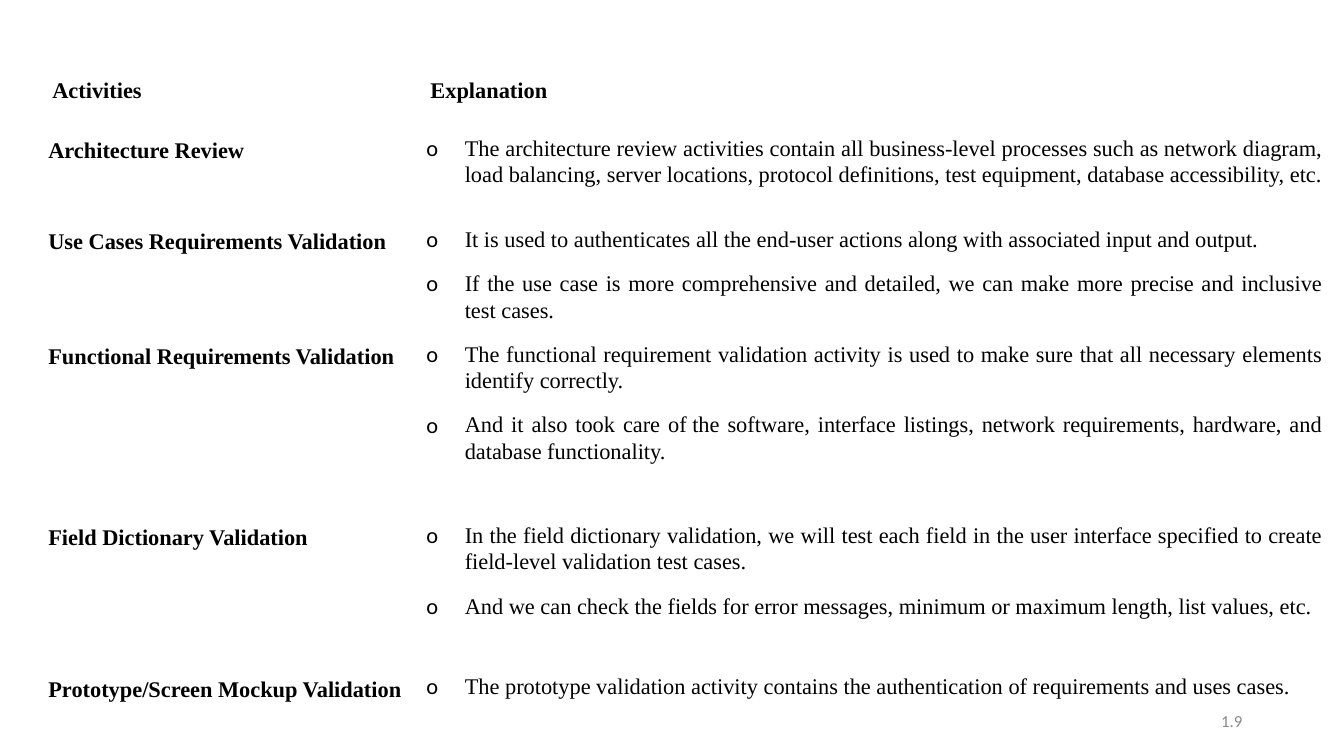
from lxml import etree
from pptx import Presentation
from pptx.dml.color import RGBColor
from pptx.enum.text import MSO_ANCHOR, PP_ALIGN
from pptx.oxml.ns import qn
from pptx.util import Inches, Pt

WHITE = RGBColor(0xFF, 0xFF, 0xFF)
BLACK = RGBColor(0, 0, 0)
GREY = RGBColor(0x88, 0x88, 0x88)
JUST, RIGHT = PP_ALIGN.JUSTIFY, PP_ALIGN.RIGHT
MIDDLE = MSO_ANCHOR.MIDDLE
SERIF, SANS = "Times New Roman", "Calibri"

COLS = [3.75, 9.05]
HEADS = ["Activities", "Explanation"]
HEAD_H = 0.64
ROWS = [
    (0.9, "Architecture Review", [
        "The architecture review activities contain all business-level processes such as\u00a0network diagram, "
        "load balancing, server locations, protocol definitions, test equipment, database accessibility, etc."]),
    (1.14, "Use Cases Requirements Validation", [
        "It is used to authenticates all the end-user actions along with associated input and output.",
        "If the use case is more comprehensive and detailed, we can make more precise and inclusive test cases."]),
    (1.8, "Functional Requirements Validation", [
        "The functional requirement validation activity is used to make sure that all necessary elements "
        "identify correctly.",
        "And it also took care of\u00a0the software, interface listings, network requirements, hardware, "
        "and database functionality."]),
    (1.5, "Field Dictionary Validation", [
        "In the field dictionary validation, we will test each field in the user interface specified to create "
        "field-level validation test cases.",
        "And we can check the fields for\u00a0error messages, minimum or maximum length, list values, etc."]),
    (0.55, "Prototype/Screen Mockup Validation", [
        "The prototype validation activity contains the authentication of requirements and uses cases."]),
]


def style(para, text, color=BLACK, **font):
    run = para.add_run()
    run.text = text
    run.font.color.rgb = color
    for name, value in font.items():
        setattr(run.font, name, value)


def add(parent, tag, **attrs):
    return etree.SubElement(parent, qn(tag), attrs)


def bullet(para):
    """Hang the paragraph on a round letter bullet with a tab stop."""
    props = para._p.get_or_add_pPr()
    props.set("marL", str(Inches(0.38)))
    props.set("indent", str(Inches(-0.38)))
    add(add(props, "a:buClr"), "a:srgbClr", val=str(BLACK))
    add(props, "a:buFont", typeface=SANS)
    add(props, "a:buChar", char="o")
    add(add(props, "a:tabLst"), "a:tab", pos=str(Inches(0.5)), algn="l")


def dress(cell, pad, base):
    """Set the cell's padding, white fill and white borders."""
    for side in ("left", "top", "right", "bottom"):
        setattr(cell, "margin_" + side, Inches(pad))
    props = cell._tc.get_or_add_tcPr()
    for side, width in (("L", 1), ("R", 1), ("T", 1), ("B", base)):
        line = add(props, "a:ln" + side, w=str(Pt(width)))
        add(add(line, "a:solidFill"), "a:srgbClr", val=str(WHITE))
    cell.fill.solid()
    cell.fill.fore_color.rgb = WHITE


def label(cell, text, align=None):
    para = cell.text_frame.paragraphs[0]
    para.line_spacing = 1.15
    para.alignment = align
    style(para, text, name=SERIF, size=Pt(16), bold=True)


def explain(cell, points):
    frame = cell.text_frame
    for i, text in enumerate(points):
        para = frame.add_paragraph() if i else frame.paragraphs[0]
        bullet(para)
        form = {"alignment": JUST, "line_spacing": Pt(18.8), "space_after": Pt(10),
                "space_before": Pt(3 if i else 0)}
        for name, value in form.items():
            setattr(para, name, value)
        style(para, text, name=SERIF, size=Pt(16), bold=False)


def grid(slide, left, top):
    heights = [HEAD_H] + [row[0] for row in ROWS]
    box = [Inches(v) for v in (left, top, sum(COLS), sum(heights))]
    table = slide.shapes.add_table(len(heights), len(COLS), *box).table
    table.horz_banding = False
    for col, width in zip(table.columns, COLS):
        col.width = Inches(width)
    for row, height in zip(table.rows, heights):
        row.height = Inches(height)
    for i, head in enumerate(HEADS):
        dress(table.cell(0, i), 0.12, 3)
        label(table.cell(0, i), head)
    for i, (_, name, points) in enumerate(ROWS, 1):
        for j in range(len(COLS)):
            dress(table.cell(i, j), 0.08, 1)
        label(table.cell(i, 0), name, JUST)
        explain(table.cell(i, 1), points)


def number(slide, left, top, width, height):
    box = [Inches(v) for v in (left, top, width, height)]
    frame = slide.shapes.add_textbox(*box).text_frame
    frame.word_wrap = True
    frame.vertical_anchor = MIDDLE
    para = frame.paragraphs[0]
    para.alignment = RIGHT
    style(para, "1.9", GREY, name=SANS, size=Pt(12))


def main():
    deck = Presentation()
    deck.slide_width, deck.slide_height = Inches(13.33), Inches(7.5)
    slide = deck.slides.add_slide(deck.slide_layouts[6])
    grid(slide, 0.4, 0.62)
    number(slide, 9.42, 6.95, 3, 0.4)
    deck.save("out.pptx")


if __name__ == "__main__":
    main()
